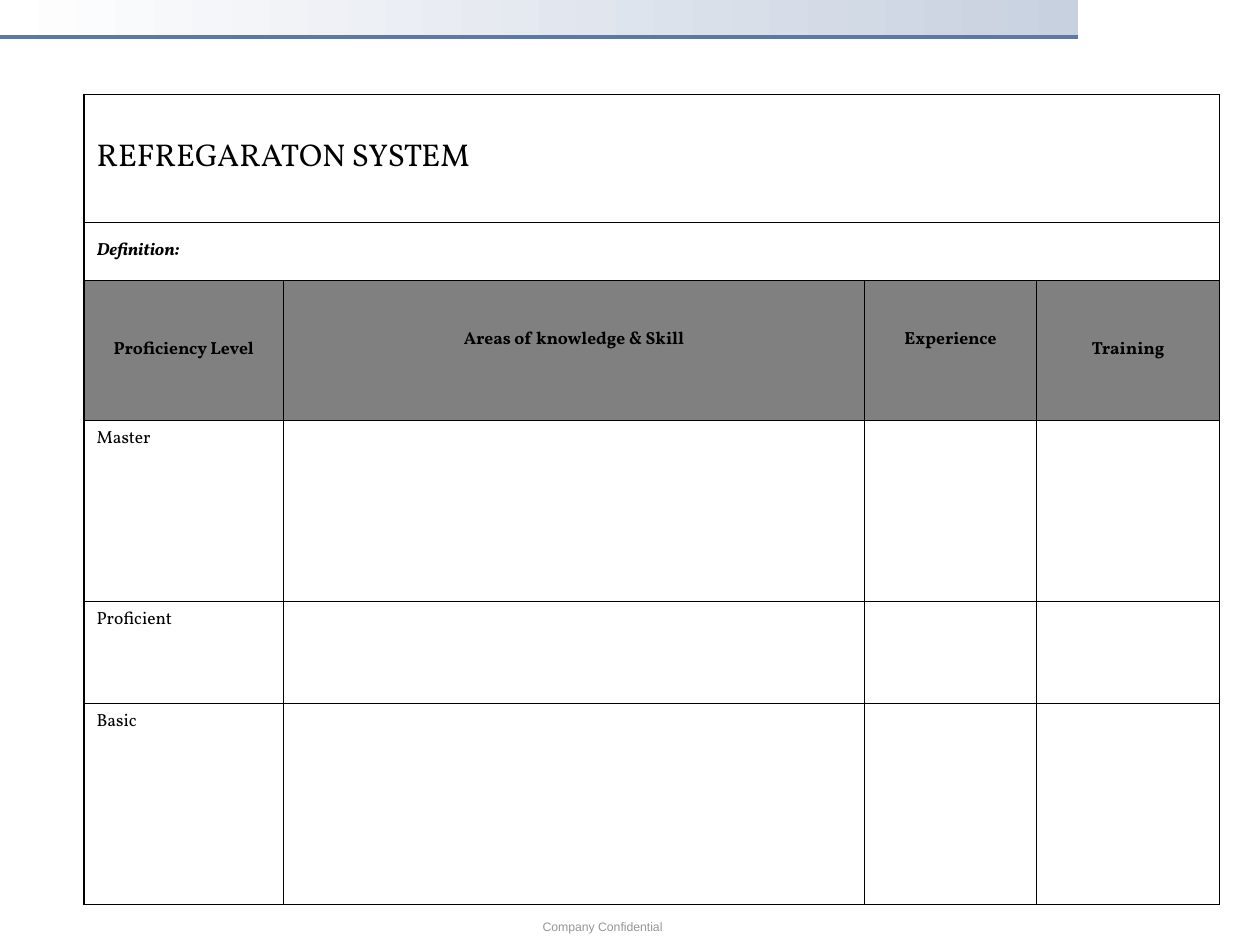
from lxml.etree import SubElement
from pptx import Presentation
from pptx.dml.color import RGBColor
from pptx.enum.shapes import MSO_CONNECTOR as Connector, MSO_SHAPE as Shape
from pptx.enum.text import MSO_ANCHOR as Anchor, PP_ALIGN as Align
from pptx.oxml.ns import qn
from pptx.util import Pt

COLUMN_WIDTHS = [114, 332, 98.3, 104.7]
ROW_HEIGHTS = [73.1, 33.1, 80, 103.4, 58.3, 115]
HEADERS = ["Proficiency Level", "Areas of knowledge & Skill", "Experience", "Training"]
RAISED_HEADERS = HEADERS[1:3]
LEVELS = ["Master", "Proficient", "Basic"]
OUTER, INNER = 1.08, 0.45


def color(hex_text):
    return RGBColor.from_string(hex_text)


def write(frame, text, size, font="Vollkorn", tint="000000", align=Align.LEFT,
          bold=False, italic=False):
    para = frame.paragraphs[0]
    para.text = text
    para.alignment = align
    para.font.name = font
    para.font.size = Pt(size)
    para.font.bold = bold
    para.font.italic = italic
    para.font.color.rgb = color(tint)


def set_borders(cell, row, column):
    edges = {"a:lnL": column == 0, "a:lnR": column == len(COLUMN_WIDTHS) - 1,
             "a:lnT": row == 0, "a:lnB": row == len(ROW_HEIGHTS) - 1}
    properties = cell._tc.get_or_add_tcPr()
    for tag, is_outer in edges.items():
        width = Pt(OUTER if is_outer else INNER)
        line = SubElement(properties, qn(tag), w=str(width))
        SubElement(SubElement(line, qn("a:solidFill")), qn("a:srgbClr"), val="000000")


def add_banner(slide):
    band = slide.shapes.add_shape(Shape.RECTANGLE, Pt(0), Pt(0), Pt(616), Pt(21.5))
    band.shadow.inherit = False
    band.line.fill.background()
    band.fill.gradient()
    band.fill.gradient_angle = 0
    for stop, tint in zip(band.fill.gradient_stops, ("FFFFFF", "C8D1E0")):
        stop.color.rgb = color(tint)

    rule = slide.shapes.add_connector(Connector.STRAIGHT, Pt(-2), Pt(21), Pt(616.3), Pt(21))
    rule.line.color.rgb = color("5D78A3")
    rule.line.width = Pt(2.25)
    SubElement(rule._element.spPr, qn("a:effectLst"))


def add_footer(slide):
    box = slide.shapes.add_textbox(Pt(303), Pt(522), Pt(112.5), Pt(16))
    box.text_frame.word_wrap = False
    write(box.text_frame, "Company Confidential", 7, "Arial", "969696")


def add_grid(slide):
    frame = slide.shapes.add_table(len(ROW_HEIGHTS), len(COLUMN_WIDTHS), Pt(48), Pt(54),
                                   Pt(sum(COLUMN_WIDTHS)), Pt(sum(ROW_HEIGHTS)))
    table = frame.table
    table.first_row = table.horz_banding = False
    for column, width in zip(table.columns, COLUMN_WIDTHS):
        column.width = Pt(width)
    for row, height in zip(table.rows, ROW_HEIGHTS):
        row.height = Pt(height)

    # Borders and fills
    for row in range(len(ROW_HEIGHTS)):
        for column in range(len(COLUMN_WIDTHS)):
            cell = table.cell(row, column)
            set_borders(cell, row, column)
            if row == 2:
                cell.fill.solid()
                cell.fill.fore_color.rgb = color("808080")
            else:
                cell.fill.background()
    return table


def fill_grid(table):
    # Full-width heading rows
    for row in (0, 1):
        table.cell(row, 0).merge(table.cell(row, len(COLUMN_WIDTHS) - 1))
        table.cell(row, 0).vertical_anchor = Anchor.MIDDLE
    write(table.cell(0, 0).text_frame, "REFREGARATON SYSTEM", 18, align=Align.JUSTIFY)
    write(table.cell(1, 0).text_frame, "Definition:", 10, align=Align.JUSTIFY,
          bold=True, italic=True)

    # Column headers
    for column, header in enumerate(HEADERS):
        cell = table.cell(2, column)
        cell.vertical_anchor = Anchor.MIDDLE
        if header in RAISED_HEADERS:
            cell.margin_bottom = Pt(15)
        write(cell.text_frame, header, 10, align=Align.CENTER, bold=True)

    # Proficiency levels
    for row, level in enumerate(LEVELS, start=3):
        write(table.cell(row, 0).text_frame, level, 10)


def main():
    deck = Presentation()
    deck.slide_width, deck.slide_height = Pt(720), Pt(540)
    page = deck.slides.add_slide(deck.slide_layouts[6])
    add_banner(page)
    add_footer(page)
    fill_grid(add_grid(page))
    deck.save("out.pptx")


if __name__ == "__main__":
    main()
